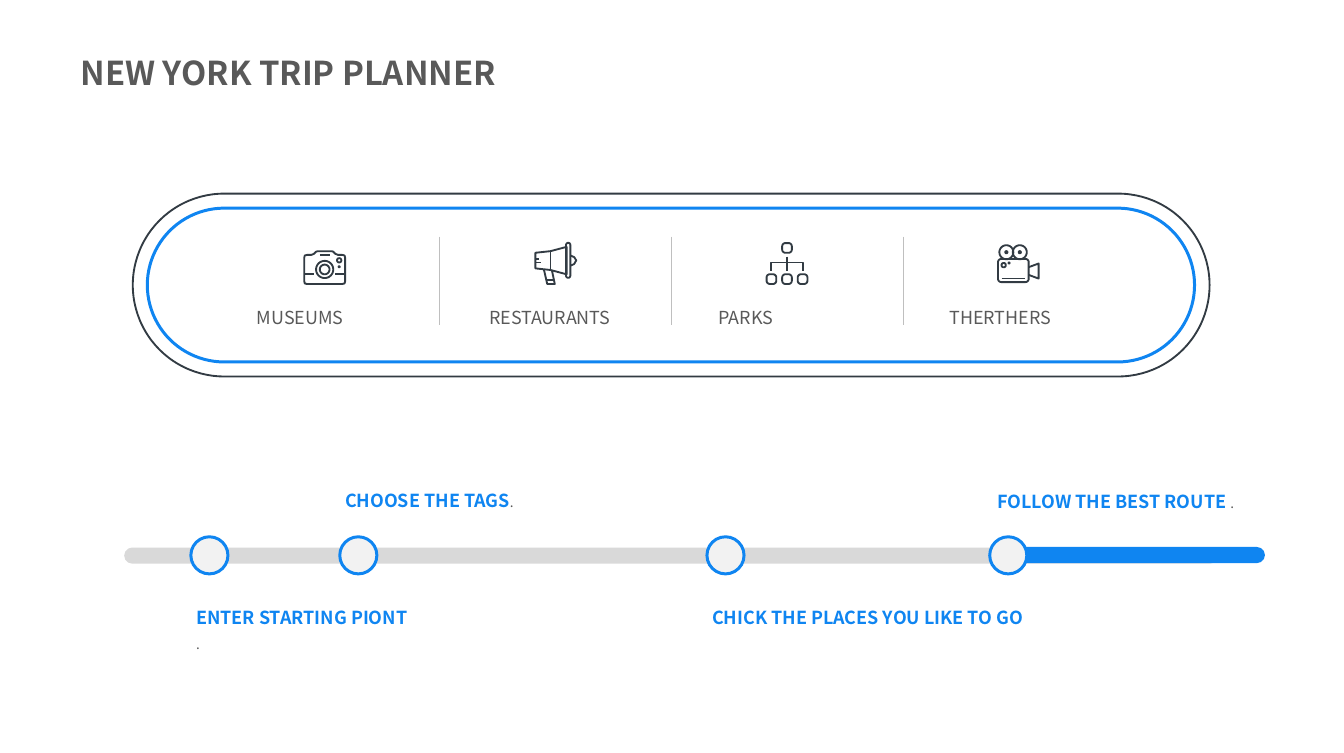
"""Build the New York trip planner slide: a category bar above a route slider."""
from dataclasses import dataclass
from math import cos, pi, sin

from lxml.etree import SubElement
from pptx import Presentation
from pptx.dml.color import RGBColor
from pptx.enum.shapes import MSO_CONNECTOR, MSO_SHAPE
from pptx.enum.text import MSO_ANCHOR, MSO_AUTO_SIZE, PP_ALIGN
from pptx.oxml.ns import qn
from pptx.util import Inches, Pt

FONT = "Noto Sans CJK SC"
BLUE = RGBColor(0x0F, 0x85, 0xF1)
INK = RGBColor(0x32, 0x3B, 0x43)
TEXT_GREY = RGBColor(0x59, 0x59, 0x59)
TRACK_GREY = RGBColor(0xD9, 0xD9, 0xD9)
KNOB_GREY = RGBColor(0xF2, 0xF2, 0xF2)
DIVIDER_GREY = RGBColor(0xBF, 0xBF, 0xBF)

Points = list[tuple[float, float]]


@dataclass
class Stroke:
    points: Points
    closed: bool = False


@dataclass
class Category:
    name: str
    label_left: float
    icon_top: float
    icon: list[Stroke]


@dataclass
class Milestone:
    left: float
    caption_left: float
    caption_top: float
    caption_width: float
    caption_height: float
    caption: list[list[str]]


def rounded(cx: float, cy: float, width: float, height: float, radius: float) -> Stroke:
    """Outline a rounded box around a centre."""
    dx, dy = width / 2 - radius, height / 2 - radius
    corners = ((dx, dy), (-dx, dy), (-dx, -dy), (dx, -dy))
    return Stroke([(cx + x + radius * cos((quarter + step / 8) * pi / 2),
                    cy + y + radius * sin((quarter + step / 8) * pi / 2))
                   for quarter, (x, y) in enumerate(corners) for step in range(9)], True)


def ring(cx: float, cy: float, radius: float) -> Stroke:
    """Outline a circle."""
    return rounded(cx, cy, 2 * radius, 2 * radius, radius)


CAMERA = [
    Stroke([(.07, .09), (.15, .09), (.2, .07), (.24, .03), (.27, .02), (.53, .02),
            (.56, .03), (.6, .07), (.65, .09), (.73, .09), (.77, .1), (.78, .14),
            (.78, .58), (.77, .62), (.73, .63), (.07, .63), (.03, .62), (.02, .58),
            (.02, .14), (.03, .1)], True),
    ring(.4, .36, .16), ring(.4, .36, .09), ring(.67, .19, .04), ring(.67, .31, .01),
    Stroke([(.02, .45), (.2, .45)]), Stroke([(.6, .45), (.78, .45)]),
    Stroke([(.31, .09), (.49, .09)]),
]
MEGAPHONE = [
    Stroke([(.02, .2), (.3, .17), (.6, .09), (.6, .6), (.3, .52), (.02, .49)], True),
    Stroke([(.3, .17), (.3, .52)]), rounded(.63, .34, .08, .65, .04),
    Stroke([(.67, .25), (.74, .28), (.78, .34), (.74, .41), (.67, .44)]),
    Stroke([(.18, .52), (.24, .78), (.38, .78), (.33, .54)]),
    Stroke([(.22, .71), (.36, .71)]),
    Stroke([(.02, .31), (.09, .31)]), Stroke([(.02, .38), (.12, .38)]),
]
TREE = [
    *(rounded(x, y, .18, .18, .06) for x, y in ((.4, .11), (.11, .69), (.4, .69), (.69, .69))),
    Stroke([(.4, .27), (.4, .53)]),
    Stroke([(.11, .53), (.11, .38), (.69, .38), (.69, .53)]),
]
FILM_CAMERA = [
    rounded(.31, .48, .57, .43, .06), ring(.18, .14, .13), ring(.43, .14, .13),
    ring(.18, .14, .02), ring(.43, .14, .02), ring(.13, .38, .04), ring(.23, .34, .01),
    Stroke([(.59, .42), (.78, .35), (.78, .63), (.59, .56)]),
    Stroke([(.09, .63), (.52, .63)]),
]

CATEGORIES = [
    Category("MUSEUMS", 4.68, 4.65, CAMERA),
    Category("RESTAURANTS", 9, 4.5, MEGAPHONE),
    Category("PARKS", 13.27, 4.5, TREE),
    Category("THERTHERS", 17.56, 4.55, FILM_CAMERA),
]
MILESTONES = [
    Milestone(3.55, 3.55, 11.02, 5.95, 1.11, [["ENTER STARTING PIONT"], ["."]]),
    Milestone(6.32, 6.32, 8.85, 5.95, 0.64, [["CHOOSE THE TAGS", "."]]),
    Milestone(13.15, 13.15, 11.02, 7.14, 0.64, [["CHICK THE PLACES YOU LIKE TO GO"]]),
    Milestone(18.41, 18.45, 8.88, 5.95, 0.64, [["FOLLOW THE BEST ROUTE ", "."]]),
]


def style_font(font, size: float, color: RGBColor, bold: bool = False) -> None:
    """Apply the slide's typeface with a size, colour and weight."""
    font.name, font.size, font.bold = FONT, Pt(size), bold
    font.color.rgb = color


def add_preset(shapes, kind: MSO_SHAPE, left: float, top: float, width: float, height: float,
               fill: RGBColor | None = None, line: RGBColor | None = None,
               weight: float = 4) -> None:
    """Draw a flat shape, with fully rounded ends if it is a rounded rectangle."""
    shape = shapes.add_shape(kind, Inches(left), Inches(top), Inches(width), Inches(height))
    shape.shadow.inherit = False
    if kind == MSO_SHAPE.ROUNDED_RECTANGLE:
        shape.adjustments[0] = 0.5
    if fill is None:
        shape.fill.background()
    else:
        shape.fill.solid()
        shape.fill.fore_color.rgb = fill
    if line is None:
        shape.line.fill.background()
    else:
        shape.line.color.rgb = line
        shape.line.width = Pt(weight)


def add_frame(shapes, left: float, top: float, width: float, height: float):
    """Add a wrapping text box and return its text frame."""
    frame = shapes.add_textbox(Inches(left), Inches(top), Inches(width), Inches(height)).text_frame
    frame.word_wrap = True
    frame.auto_size = MSO_AUTO_SIZE.SHAPE_TO_FIT_TEXT
    return frame


def add_icon(shapes, left: float, top: float, strokes: list[Stroke]) -> None:
    """Draw all strokes of an icon as one line drawing."""
    corners = [[(Inches(left + x), Inches(top + y)) for x, y in stroke.points]
               for stroke in strokes]
    builder = shapes.build_freeform(*corners[0][0])
    for stroke, points in zip(strokes, corners):
        builder.move_to(*points[0])
        builder.add_line_segments(points[1:], close=stroke.closed)
    icon = builder.convert_to_shape()
    icon.shadow.inherit = False
    icon.fill.background()
    icon.line.color.rgb = INK
    icon.line.width = Pt(2.5)


def add_divider(shapes, x: float) -> None:
    """Draw a thin vertical line between two categories."""
    divider = shapes.add_connector(MSO_CONNECTOR.STRAIGHT, Inches(x), Inches(4.4),
                                   Inches(x), Inches(6.05))
    divider.line.color.rgb = DIVIDER_GREY
    divider.line.width = Pt(0.75)
    SubElement(divider.element.spPr, qn("a:effectLst"))


def add_caption(shapes, milestone: Milestone) -> None:
    """Write a milestone's blue heading and its small grey full stop."""
    frame = add_frame(shapes, milestone.caption_left, milestone.caption_top,
                      milestone.caption_width, milestone.caption_height)
    for index, parts in enumerate(milestone.caption):
        paragraph = frame.add_paragraph() if index else frame.paragraphs[0]
        paragraph.line_spacing = 1.5
        for part in parts:
            run = paragraph.add_run()
            run.text = part
            if part == ".":
                style_font(run.font, 18, TEXT_GREY)
            else:
                style_font(run.font, 24, BLUE, True)


def add_title(title) -> None:
    """Place and format the slide title."""
    title.left, title.top, title.width, title.height = map(Inches, (1.4, 0.57, 9.48, 1.08))
    frame = title.text_frame
    frame.text = "NEW YORK TRIP PLANNER"
    frame.vertical_anchor = MSO_ANCHOR.TOP
    frame.auto_size = MSO_AUTO_SIZE.SHAPE_TO_FIT_TEXT
    heading = frame.paragraphs[0]
    heading.alignment = PP_ALIGN.LEFT
    heading.line_spacing = 1.5
    style_font(heading.font, 44, TEXT_GREY, True)


def main() -> None:
    """Assemble and save the slide."""
    deck = Presentation()
    deck.slide_width, deck.slide_height = Inches(25), Inches(14)
    slide = deck.slides.add_slide(deck.slide_layouts[5])
    shapes = slide.shapes
    add_title(shapes.title)

    pill = MSO_SHAPE.ROUNDED_RECTANGLE
    add_preset(shapes, pill, 2.31, 10.18, 20.35, 0.3, TRACK_GREY)
    add_preset(shapes, pill, 18.53, 10.17, 5, 0.3, BLUE)
    add_preset(shapes, pill, 2.47, 3.6, 20.03, 3.4, line=INK, weight=2.5)
    add_preset(shapes, pill, 2.74, 3.87, 19.48, 2.86, line=BLUE)

    for index, category in enumerate(CATEGORIES):
        label = add_frame(shapes, category.label_left, 5.65, 2.73, 0.5).paragraphs[0]
        label.text = category.name
        label.alignment = PP_ALIGN.JUSTIFY
        style_font(label.font, 24, TEXT_GREY)
        add_icon(shapes, 5.64 + 4.3 * index, category.icon_top, category.icon)
        if index:
            add_divider(shapes, 3.85 + 4.32 * index)

    for milestone in MILESTONES:
        add_preset(shapes, MSO_SHAPE.OVAL, milestone.left, 9.98, 0.69, 0.69, KNOB_GREY, BLUE)
        add_caption(shapes, milestone)

    deck.save("out.pptx")


if __name__ == "__main__":
    main()
